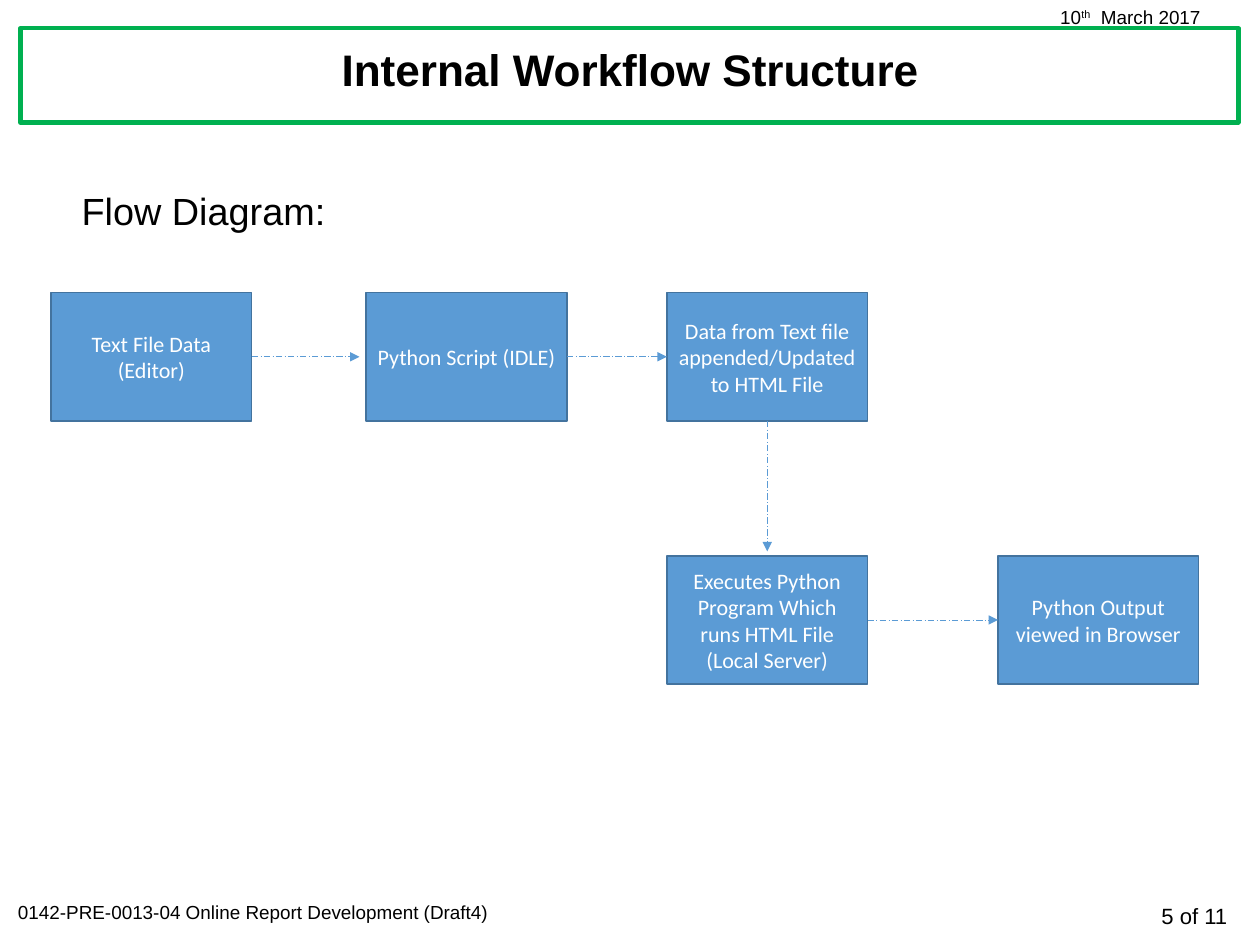
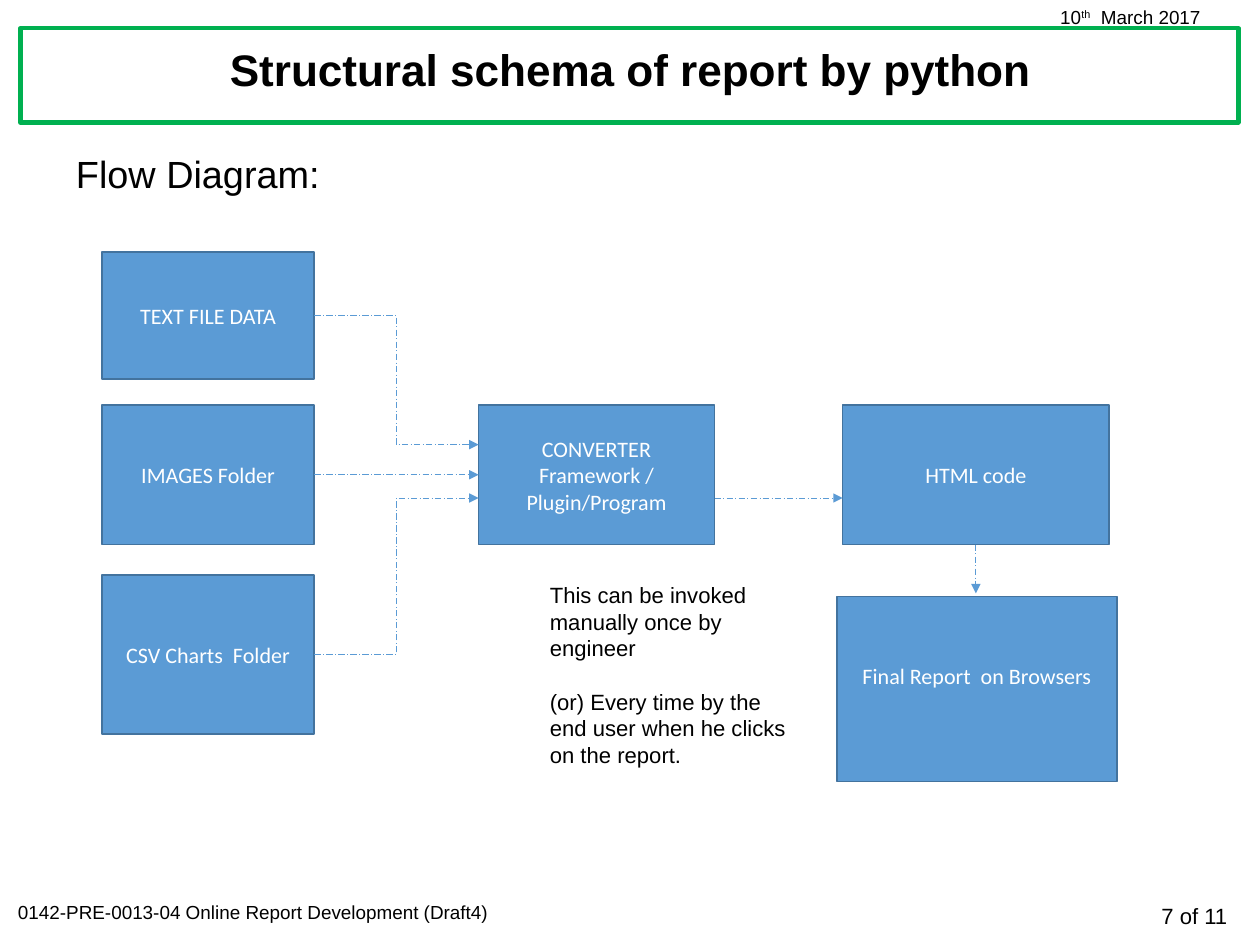
import collections

import pptx
import pptx.dml.color
import pptx.enum.dml
import pptx.enum.shapes
import pptx.enum.text
import pptx.oxml.ns
import pptx.oxml.xmlchemy
import pptx.util

SLIDE_SIZE = (11.11, 8.33)
FRAME_GREEN, BOX_BLUE, BOX_EDGE = "00B050", "5B9BD5", "43739E"
BLACK, WHITE = "000000", "FFFFFF"
TEXT_FONT, BOX_FONT = "Arial", "Calibri"
DOCUMENT = "0142-PRE-0013-04 Online Report Development (Draft4)"
PAGE_COUNT = 11

ALIGN = pptx.enum.text.PP_ALIGN
ANCHOR = pptx.enum.text.MSO_ANCHOR
CONNECTOR = pptx.enum.shapes.MSO_CONNECTOR
TOP, LEFT, BOTTOM, RIGHT = range(4)

# The end of an arrow: a free point, or the middle of a side of a box.
Port = collections.namedtuple("Port", "x y box side", defaults=(None, None))


def inches(*lengths):
    return [pptx.util.Inches(length) for length in lengths]


def colour(hex_string):
    return pptx.dml.color.RGBColor.from_string(hex_string)


def place(shape, left, top, width, height):
    shape.left, shape.top, shape.width, shape.height = inches(
        left, top, width, height)


def append_element(parent, tag, **attributes):
    element = pptx.oxml.xmlchemy.OxmlElement(tag)
    for name, value in attributes.items():
        element.set(name, value)
    parent.append(element)


def add_run(paragraph, text, size, font=TEXT_FONT, ink=BLACK, bold=False):
    run = paragraph.add_run()
    run.text = text
    run.font.size = pptx.util.Pt(size)
    run.font.name = font
    run.font.bold = bold
    run.font.color.rgb = colour(ink)
    return run


def add_paragraphs(frame, texts, size, font=TEXT_FONT, ink=BLACK,
                   align=ALIGN.LEFT, gap=0):
    """Fill a text frame; gap is the space in points between paragraphs."""
    frame.word_wrap = True
    for index, text in enumerate(texts):
        paragraph = frame.add_paragraph() if index else frame.paragraphs[0]
        paragraph.alignment = align
        paragraph.space_before = pptx.util.Pt(gap if index else 0)
        add_run(paragraph, text, size, font, ink)


def add_text(slide, area, texts, size, **style):
    frame = slide.shapes.add_textbox(*inches(*area)).text_frame
    add_paragraphs(frame, texts, size, **style)
    return frame


def add_rectangle(slide, area, edge, edge_width, fill=None):
    rectangle = slide.shapes.add_shape(
        pptx.enum.shapes.MSO_SHAPE.RECTANGLE, *inches(*area))
    rectangle.shadow.inherit = False
    if fill:
        rectangle.fill.solid()
        rectangle.fill.fore_color.rgb = colour(fill)
    else:
        rectangle.fill.background()
    rectangle.line.color.rgb = colour(edge)
    rectangle.line.width = pptx.util.Pt(edge_width)
    return rectangle


def add_box(slide, area, *texts):
    box = add_rectangle(slide, area, BOX_EDGE, 1, BOX_BLUE)
    box.text_frame.vertical_anchor = ANCHOR.MIDDLE
    add_paragraphs(box.text_frame, texts, 14, BOX_FONT, WHITE, ALIGN.CENTER)
    return box


def side_of(box, side):
    across = {LEFT: 0, RIGHT: 1}.get(side, 0.5)
    down = {TOP: 0, BOTTOM: 1}.get(side, 0.5)
    return Port((box.left + across * box.width) / pptx.util.Inches(1),
                (box.top + down * box.height) / pptx.util.Inches(1), box, side)


def add_arrow(slide, start, stop, kind=CONNECTOR.STRAIGHT):
    arrow = slide.shapes.add_connector(
        kind, *inches(start.x, start.y, stop.x, stop.y))
    if kind == CONNECTOR.STRAIGHT:
        if start.box is not None:
            arrow.begin_connect(start.box, start.side)
        if stop.box is not None:
            arrow.end_connect(stop.box, stop.side)
    arrow.line.color.rgb = colour(BOX_BLUE)
    arrow.line.width = pptx.util.Pt(0.5)
    arrow.line.dash_style = pptx.enum.dml.MSO_LINE.LONG_DASH_DOT
    properties = arrow._element.spPr
    append_element(properties.find(pptx.oxml.ns.qn("a:ln")), "a:tailEnd",
                   type="triangle")
    append_element(properties, "a:effectLst")


def set_title(slide, text):
    title = slide.shapes.title
    place(title, 0.21, 0.22, 10.69, 0.83)
    title.text_frame.vertical_anchor = ANCHOR.MIDDLE
    title.text_frame.auto_size = pptx.enum.text.MSO_AUTO_SIZE.NONE
    paragraph = title.text_frame.paragraphs[0]
    paragraph.alignment = ALIGN.CENTER
    paragraph.line_spacing = 0.9
    add_run(paragraph, text, 28, bold=True)


def set_heading(slide, left, top):
    heading = slide.placeholders[1]
    place(heading, left, top, 2.8, 0.5)
    heading.text_frame.auto_size = pptx.enum.text.MSO_AUTO_SIZE.NONE
    add_paragraphs(heading.text_frame, ["Flow Diagram:"], 24)
    properties = heading.text_frame.paragraphs[0]._p.get_or_add_pPr()
    properties.set("marL", "0")
    properties.set("indent", "0")
    append_element(properties, "a:buNone")


def add_date(slide):
    frame = add_text(slide, (9.25, 0, 1.68, 0.3), ["10"], 12)
    date = frame.paragraphs[0]
    ordinal = add_run(date, "th", 12)
    ordinal._r.get_or_add_rPr().set("baseline", "30000")
    add_run(date, "  March 2017", 12)


def add_page(deck, title, number):
    """Add a slide with the title, frame, date and footer all slides share."""
    slide = deck.slides.add_slide(deck.slide_layouts[1])
    set_title(slide, title)
    add_rectangle(slide, (0.18, 0.25, 10.74, 0.83), FRAME_GREEN, 2.75)
    add_date(slide)
    add_text(slide, (0.06, 7.89, 4.6, 0.3), [DOCUMENT], 12)
    add_text(slide, (9.4, 7.91, 1.52, 0.34),
             [f"{number} of {PAGE_COUNT}"], 14, align=ALIGN.RIGHT)
    return slide


def add_workflow(deck):
    slide = add_page(deck, "Internal Workflow Structure", 5)
    set_heading(slide, 0.62, 1.6)
    columns, rows = (0.45, 3.23, 5.88, 8.8), (2.58, 4.9)
    steps = [
        (0, 0, "Text File Data (Editor)"),
        (1, 0, "Python Script (IDLE)"),
        (2, 0, "Data from Text file appended/Updated to HTML File"),
        (2, 1, "Executes Python Program Which runs HTML File (Local Server)"),
        (3, 1, "Python Output viewed in Browser"),
    ]
    data, script, update, server, output = [
        add_box(slide, (columns[column], rows[row], 1.77, 1.13), text)
        for column, row, text in steps]

    leaving_data = side_of(data, RIGHT)
    add_arrow(slide, leaving_data, Port(columns[1] - 0.06, leaving_data.y))
    add_arrow(slide, side_of(script, RIGHT), side_of(update, LEFT))
    leaving_update = side_of(update, BOTTOM)
    add_arrow(slide, leaving_update, Port(leaving_update.x, rows[1] - 0.04))
    add_arrow(slide, side_of(server, RIGHT), side_of(output, LEFT))


def add_schema(deck):
    slide = add_page(deck, "Structural schema of report by python", 7)
    set_heading(slide, 0.57, 1.28)
    source_column, converter_column, code_column, report_column = (
        (0.9, 1.87), (4.22, 2.08), (7.43, 2.35), (7.38, 2.47))
    text_row, middle_row, chart_row, report_row = (
        (2.22, 1.12), (3.57, 1.23), (5.07, 1.4), (5.26, 1.63))

    def box_at(column, row, *texts):
        return add_box(slide, (column[0], row[0], column[1], row[1]), *texts)

    text_data = box_at(source_column, text_row, "TEXT FILE DATA")
    images = box_at(source_column, middle_row, "IMAGES Folder")
    charts = box_at(source_column, chart_row, "CSV Charts  Folder")
    converter = box_at(converter_column, middle_row,
                       "CONVERTER", "Framework / Plugin/Program")
    code = box_at(code_column, middle_row, "HTML code")
    report = box_at(report_column, report_row, "Final Report  on Browsers")
    report.text_frame.margin_bottom = pptx.util.Inches(0.28)

    low_entry = 4.39
    for source, entry in ((text_data, 3.92), (charts, low_entry)):
        add_arrow(slide, side_of(source, RIGHT),
                  Port(converter_column[0], entry), CONNECTOR.ELBOW)
    add_arrow(slide, side_of(images, RIGHT), side_of(converter, LEFT))
    add_arrow(slide, Port(sum(converter_column), low_entry),
              Port(code_column[0], low_entry))
    leaving_code = side_of(code, BOTTOM)
    add_arrow(slide, leaving_code, Port(leaving_code.x, report_row[0] - 0.03))

    add_text(slide, (4.75, 5.08, 2.4, 1.75),
             ["This can be invoked manually once by engineer",
              "(or) Every time by the end user when he clicks on the report."],
             14, gap=17)


def main():
    deck = pptx.Presentation()
    deck.slide_width, deck.slide_height = inches(*SLIDE_SIZE)
    add_workflow(deck)
    add_schema(deck)
    deck.save("out.pptx")


if __name__ == "__main__":
    main()
